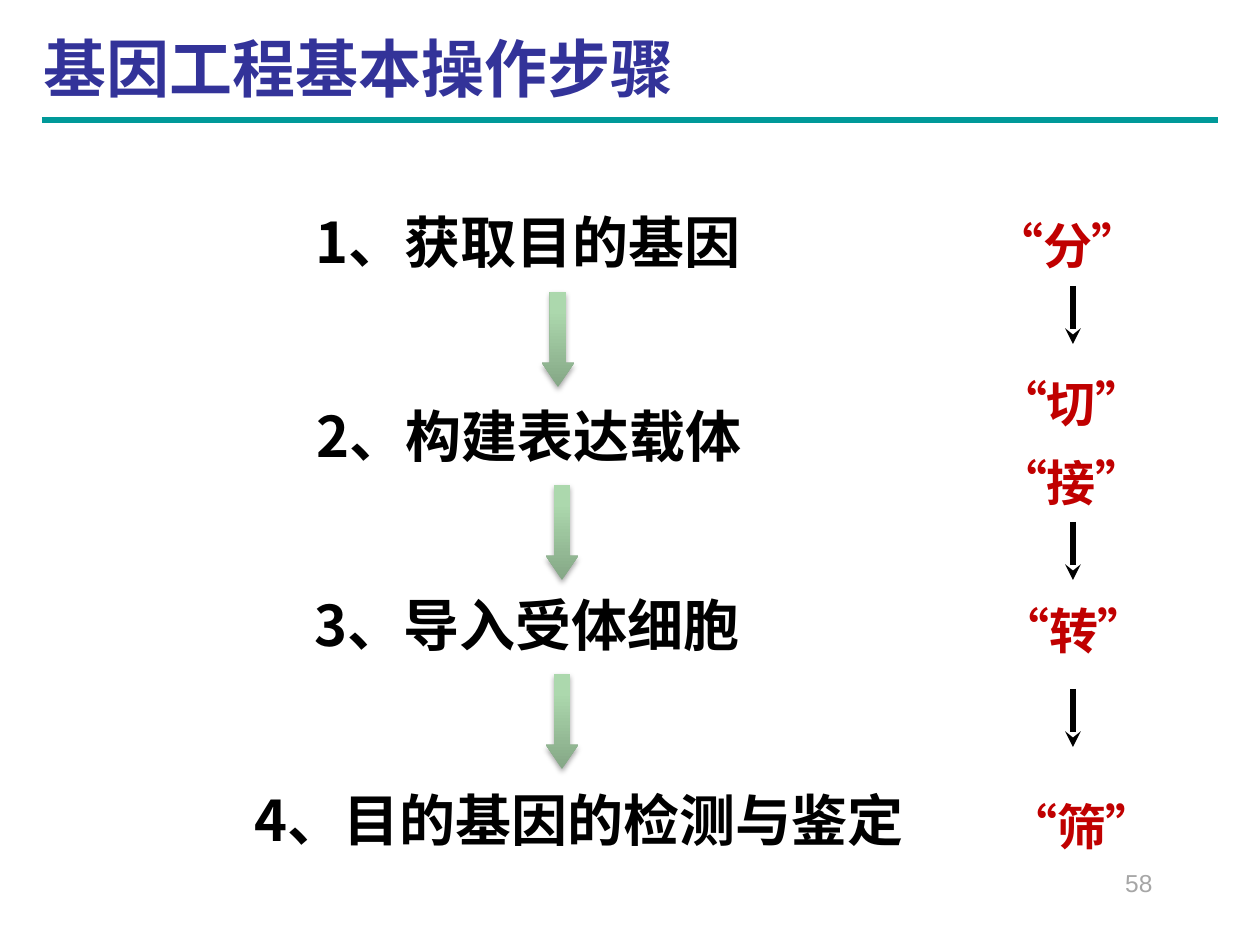
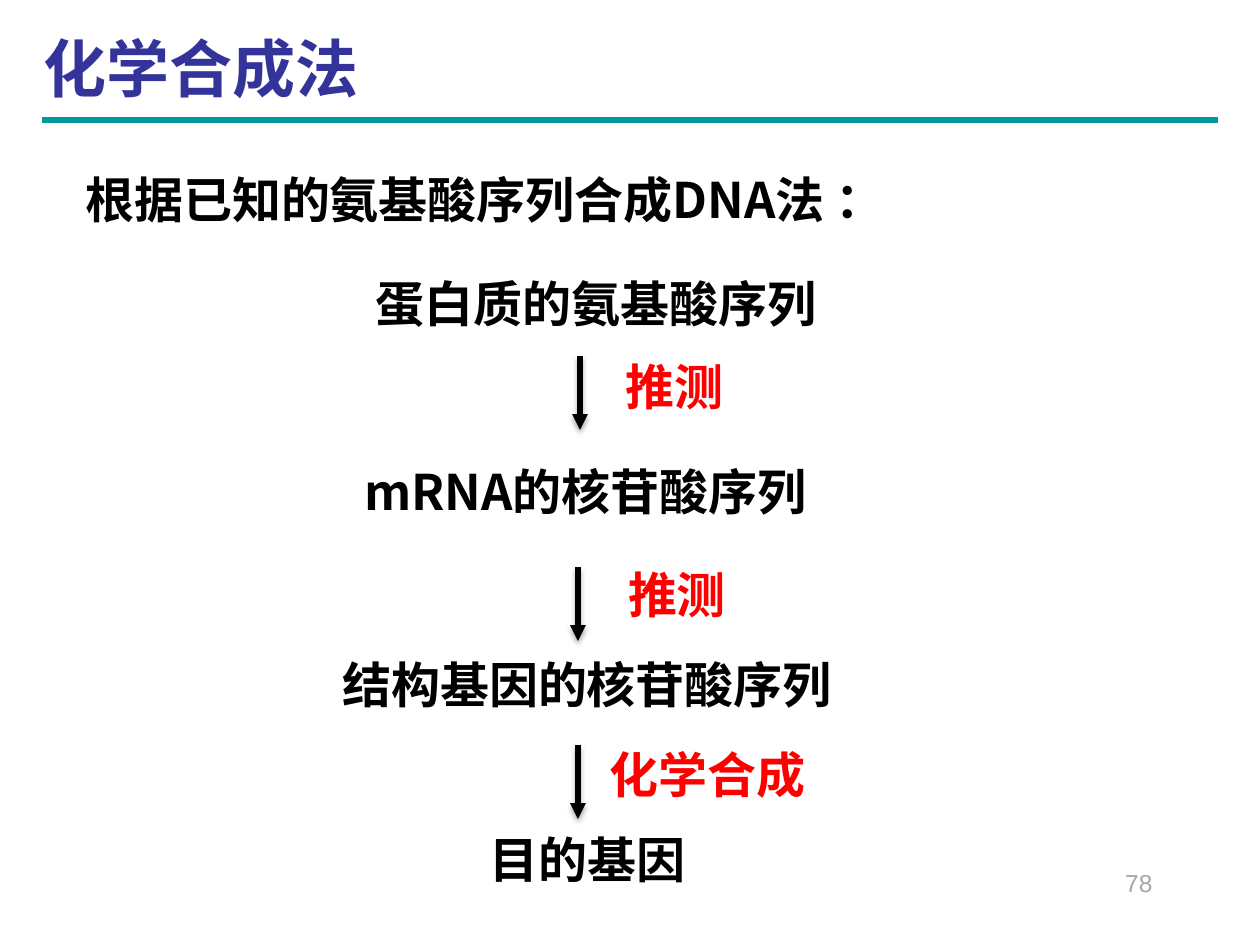
"""Build two slides on the basic steps of genetic engineering."""
from lxml import etree
from pptx import Presentation
from pptx.dml.color import RGBColor
from pptx.enum.shapes import MSO_CONNECTOR, MSO_SHAPE
from pptx.enum.text import MSO_ANCHOR, MSO_AUTO_SIZE, PP_ALIGN
from pptx.oxml.ns import qn
from pptx.util import Emu, Pt

STRAIGHT = MSO_CONNECTOR.STRAIGHT
DOWN_ARROW = MSO_SHAPE.DOWN_ARROW
MIDDLE = MSO_ANCHOR.MIDDLE
NO_FIT = MSO_AUTO_SIZE.NONE
LEFT, CENTER, RIGHT = PP_ALIGN.LEFT, PP_ALIGN.CENTER, PP_ALIGN.RIGHT

PX_PER_INCH = 126
SLIDE_W, SLIDE_H = 1260, 945
TITLE_ONLY = 5
CJK, LATIN = "Noto Sans CJK SC", "Arial"
COLORS = {
    "title": "333399",
    "rule": "009999",
    "text": "000000",
    "keyword": "C00000",
    "action": "FF0000",
    "number": "A6A6A6",
    "arrow_dark": "85A786",
    "arrow_light": "ACD8AD",
}


def px(n):
    """Turn pixels into EMU."""
    return Emu(round(n * 914400 / PX_PER_INCH))


def rgb(name):
    """Return the named palette colour."""
    return RGBColor.from_string(COLORS[name])


def write(sp, text, size=28, color="text", font=CJK, bold=True, align=CENTER, spacing=None):
    """Put one formatted paragraph into a shape."""
    tf = sp.text_frame
    tf.word_wrap = True
    tf.auto_size = NO_FIT
    tf.vertical_anchor = MIDDLE
    tf.margin_top = tf.margin_bottom = 0
    p = tf.paragraphs[0]
    p.alignment = align
    p.space_before = Pt(0)
    if spacing:
        p.line_spacing = spacing
    r = p.add_run()
    r.text = text
    r.font.size = Pt(size)
    r.font.bold = bold
    r.font.color.rgb = rgb(color)
    r.font.name = font
    ea = etree.SubElement(r.font._element, qn("a:ea"))
    ea.set("typeface", font)


def add_text(s, text, x, y, w, h, **fmt):
    """Add a text box."""
    write(s.shapes.add_textbox(px(x), px(y), px(w), px(h)), text, **fmt)


def set_effects(sp, shadow=False):
    """Give a shape a soft downward shadow, or no effect at all."""
    effects = etree.SubElement(sp.element.spPr, qn("a:effectLst"))
    if shadow:
        outer = etree.SubElement(effects, qn("a:outerShdw"), blurRad="39370",
                                 dist="22860", dir="5400000", rotWithShape="0")
        black = etree.SubElement(outer, qn("a:srgbClr"), val="000000")
        etree.SubElement(black, qn("a:alpha"), val="35000")


def add_line(s, x1, y1, x2, y2, color="text", width=3, head=None, shadow=False):
    """Add a straight line with an optional arrowhead at its end."""
    line = s.shapes.add_connector(STRAIGHT, px(x1), px(y1), px(x2), px(y2))
    line.line.color.rgb = rgb(color)
    line.line.width = Pt(width)
    if head:
        etree.SubElement(line.element.spPr.find(qn("a:ln")), qn("a:tailEnd"), type=head)
    set_effects(line, shadow)
    return line


def add_block_arrow(s, x, y, w=32, h=95):
    """Add a green gradient arrow that points down."""
    sp = s.shapes.add_shape(DOWN_ARROW, px(x), px(y), px(w), px(h))
    sp.adjustments[0], sp.adjustments[1] = 0.5, 0.75
    sp.fill.gradient()
    sp.fill.gradient_angle = 90
    for stop, name, position in zip(sp.fill.gradient_stops,
                                    ("arrow_dark", "arrow_light"), (0, 0.8)):
        stop.color.rgb = rgb(name)
        stop.position = position
    sp.line.fill.background()
    set_effects(sp, shadow=True)


def add_slide(prs, title, number):
    """Add a slide with its title and page number."""
    s = prs.slides.add_slide(prs.slide_layouts[TITLE_ONLY])
    sp = s.shapes.title
    sp.left, sp.top, sp.width, sp.height = px(31), px(37), px(1176), px(70)
    write(sp, title, size=36, color="title", align=LEFT, spacing=0.9)
    add_text(s, number, 903, 861, 262, 44, size=14, color="number",
             font=LATIN, bold=False, align=RIGHT)
    return s


def add_layout_rule(prs, s):
    """Place the rule under the title on the shared layout."""
    rule = add_line(s, 42, 120, 1218, 120, color="rule", width=4)
    s.slide_layout.shapes.element.append(rule.element)


def build_steps(s):
    """Draw the four steps and their keywords."""
    for x, y in ((542, 292), (546, 485), (546, 674)):
        add_block_arrow(s, x, y)
    steps = (
        ("1、获取目的基因", 197, 202, 662, CENTER),
        ("2、构建表达载体", 93, 396, 872, CENTER),
        ("3、导入受体细胞", 39, 585, 976, CENTER),
        ("4、目的基因的检测与鉴定", 242, 780, 829, LEFT),
    )
    for text, x, y, w, align in steps:
        add_text(s, text, x, y, w, 79, size=32, align=align)
    keywords = (("“分”", 980, 186), ("“切”", 984, 344), ("“接”", 984, 423),
                ("“转”", 986, 571), ("“筛”", 994, 767))
    for text, x, y in keywords:
        add_text(s, text, x, y, 175, 88, color="keyword", spacing=1.5)
    for y in (286, 522, 689):
        add_line(s, 1073, y, 1073, y + 58, head="stealth")


def build_synthesis(s):
    """Draw the chain from protein sequence to target gene."""
    add_text(s, "根据已知的氨基酸序列合成DNA法 ：", 73, 160, 935, 72, align=LEFT, spacing=1.1)
    stages = (("蛋白质的氨基酸序列", 323, 267, 546), ("mRNA的核苷酸序列", 302, 455, 567),
              ("结构基因的核苷酸序列", 293, 648, 588), ("目的基因", 450, 823, 275))
    for text, x, y, w in stages:
        add_text(s, text, x, y, w, 72)
    actions = (("推测", 590, 350, 169, CENTER), ("推测", 587, 558, 180, CENTER),
               ("化学合成", 597, 738, 286, LEFT))
    for text, x, y, w, align in actions:
        add_text(s, text, x, y, w, 72, color="action", align=align)
    for x, y in ((580, 356), (578, 567), (578, 745)):
        add_line(s, x, y, x, y + 74, head="triangle", shadow=True)


def main():
    """Build and save the slides."""
    prs = Presentation()
    prs.slide_width, prs.slide_height = px(SLIDE_W), px(SLIDE_H)
    steps = add_slide(prs, "基因工程基本操作步骤", "58")
    add_layout_rule(prs, steps)
    build_steps(steps)
    build_synthesis(add_slide(prs, "化学合成法", "78"))
    prs.save("out.pptx")


if __name__ == "__main__":
    main()
